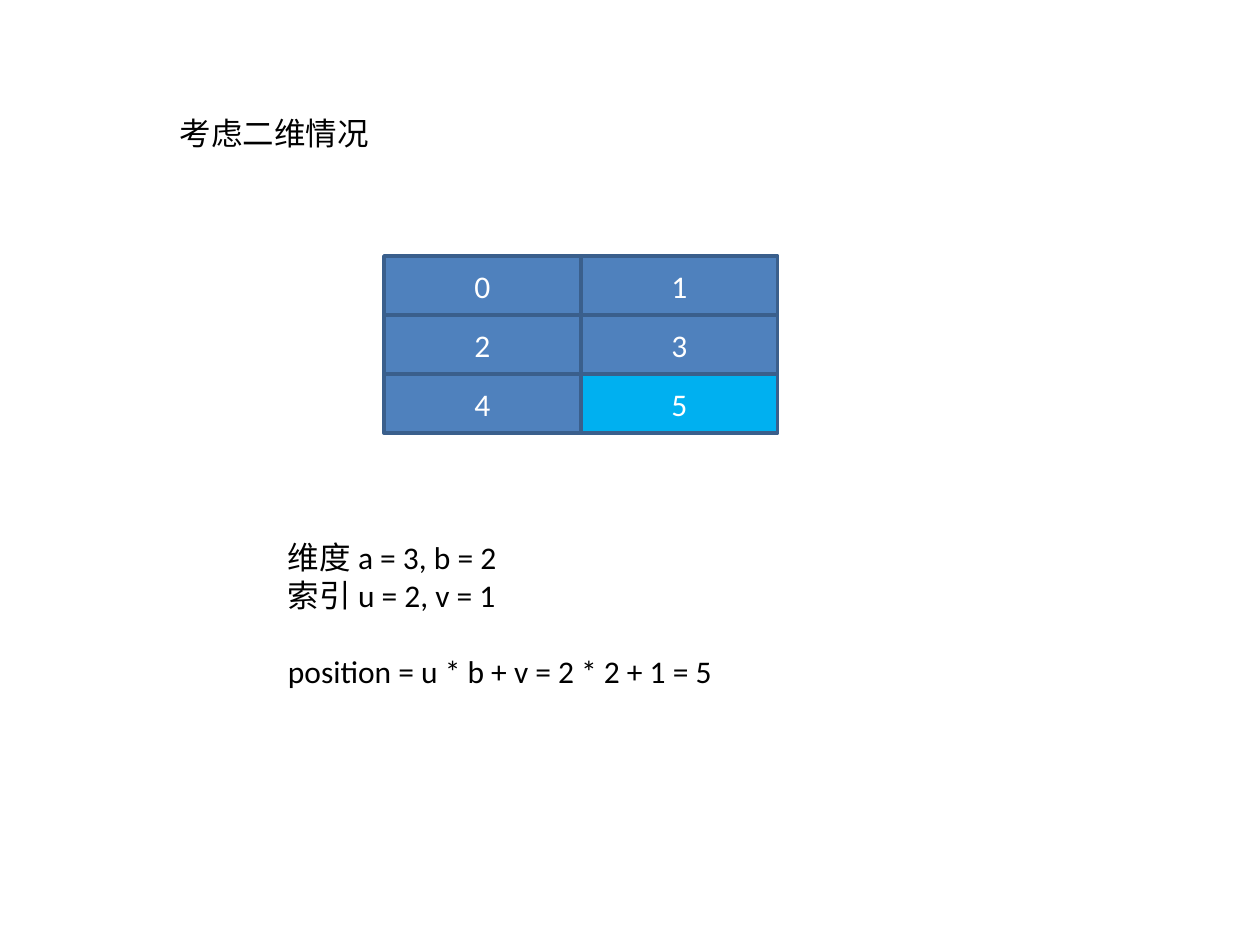
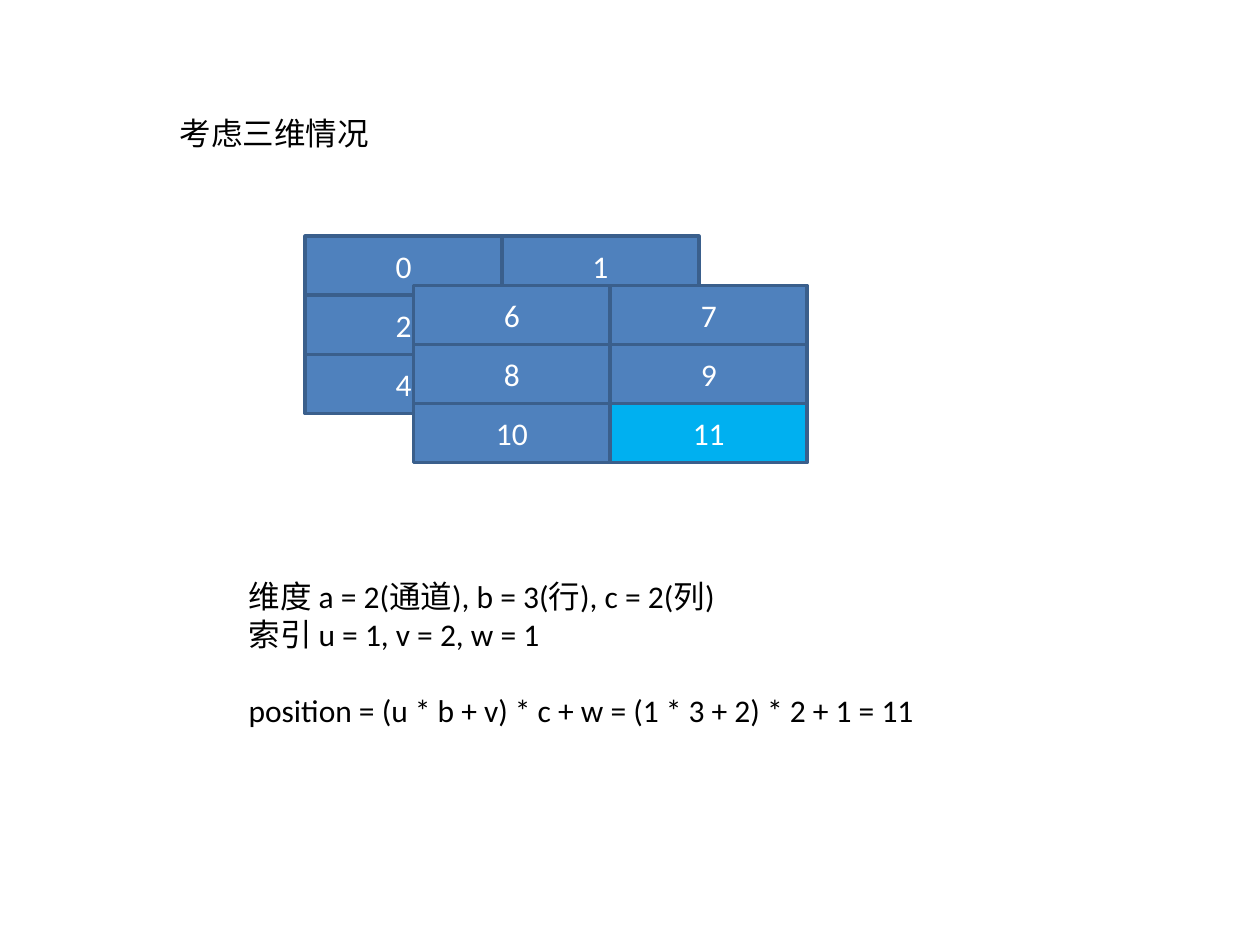
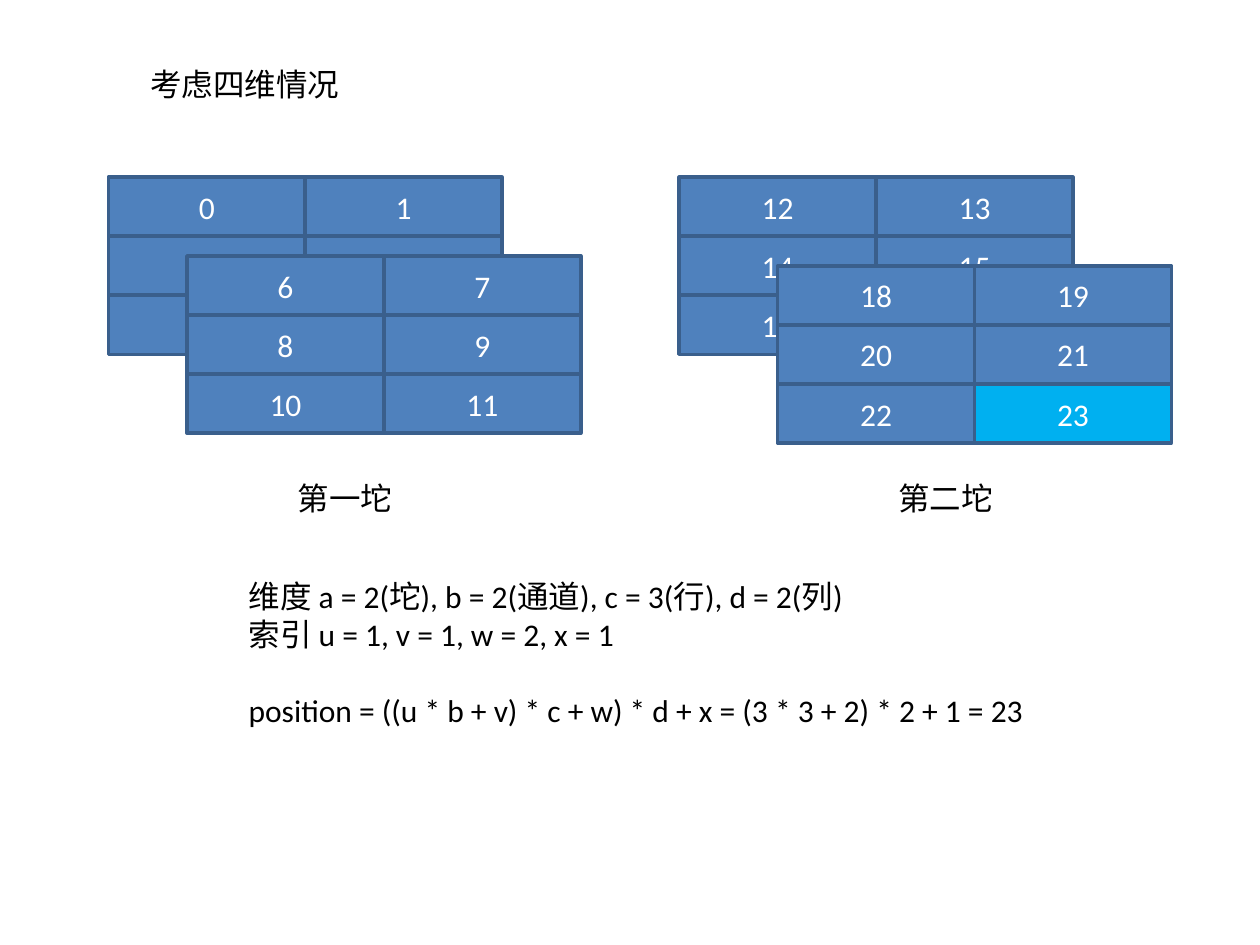
from itertools import product

from pptx import Presentation
from pptx.dml.color import RGBColor
from pptx.enum.shapes import MSO_SHAPE
from pptx.enum.text import MSO_ANCHOR, MSO_AUTO_SIZE, PP_ALIGN
from pptx.util import Inches, Pt

RECT = MSO_SHAPE.RECTANGLE
MIDDLE = MSO_ANCHOR.MIDDLE
CENTER = PP_ALIGN.CENTER
FIT = MSO_AUTO_SIZE.SHAPE_TO_FIT_TEXT


class Theme:
    cell = RGBColor.from_string("4F81BD")
    mark = RGBColor.from_string("00B0F0")
    edge = RGBColor.from_string("3A5F8C")
    ink = RGBColor.from_string("000000")
    pale = RGBColor.from_string("FFFFFF")
    font = "Calibri"
    size = Pt(18)
    line = Pt(2)
    gap = Pt(22)


deck = Presentation()
deck.slide_width, deck.slide_height = Inches(10), Inches(7.5)
UNIT = deck.slide_width // 128  # the slide is a grid of 128 by 96 units
ROWS, COLS = 3, 2
WIDE, HIGH = 20, 6  # one cell, in units
LINE = 5.1  # a one-line text box, in units


def write(slide, left, top, wide, high, lines):
    """Add a text box; an empty line becomes space before the next one."""
    box = slide.shapes.add_textbox(
        *(round(n * UNIT) for n in (left, top, wide, high)))
    frame = box.text_frame
    frame.word_wrap, frame.auto_size = False, FIT
    frame.text = "\n".join(line for line in lines if line)
    for para in frame.paragraphs:
        style(para.font, Theme.ink)
    if "" in lines:
        frame.paragraphs[lines.index("")].space_before = Theme.gap


def style(font, color):
    for name, value in {"name": Theme.font, "size": Theme.size}.items():
        setattr(font, name, value)
    font.color.rgb = color


# Places are in grid units; a stack is the left and top of one matrix.
# Cells in "bare" lie behind the next matrix and carry no number.
PAGES = [
    {
        "title": (17, 11, "考虑二维情况"),
        "stacks": [(39, 26)],
        "bare": [],
        "labels": [],
        "notes": (28, 54, 46.3, [
            "维度 a = 3, b = 2",
            "索引 u = 2, v = 1",
            "",
            "position = u * b + v = 2 * 2 + 1 = 5"]),
    },
    {
        "title": (17, 11, "考虑三维情况"),
        "stacks": [(31, 24), (42, 29)],
        "bare": [3, 5],
        "labels": [],
        "notes": (24, 58, 71.3, [
            "维度 a = 2(通道), b = 3(行), c = 2(列)",
            "索引 u = 1, v = 2, w = 1",
            "",
            "position = (u * b + v) * c + w = (1 * 3 + 2) * 2 + 1 = 11"]),
    },
    {
        "title": (14, 6, "考虑四维情况"),
        "stacks": [(11, 18), (19, 26), (69, 18), (79, 27)],
        "bare": [2, 3, 4, 5, 17],
        "labels": [(29, 48, "第一坨"), (90, 48, "第二坨")],
        "notes": (24, 58, 82.6, [
            "维度 a = 2(坨), b = 2(通道), c = 3(行), d = 2(列)",
            "索引 u = 1, v = 1, w = 2, x = 1",
            "",
            "position = ((u * b + v) * c + w) * d + x"
            " = (3 * 3 + 2) * 2 + 1 = 23"]),
    },
]

for page in PAGES:
    slide = deck.slides.add_slide(deck.slide_layouts[6])

    left, top, wide, lines = page["notes"]
    write(slide, left, top, wide, 16.8, lines)

    last = len(page["stacks"]) * ROWS * COLS - 1
    for layer, (left, top) in enumerate(page["stacks"]):
        group = slide.shapes.add_group_shape()
        for row, col in product(range(ROWS), range(COLS)):
            index = (layer * ROWS + row) * COLS + col
            cell = group.shapes.add_shape(
                RECT, (left + col * WIDE) * UNIT, (top + row * HIGH) * UNIT,
                WIDE * UNIT, HIGH * UNIT)
            cell.shadow.inherit = False
            cell.fill.solid()
            cell.fill.fore_color.rgb = (
                Theme.mark if index == last else Theme.cell)
            cell.line.color.rgb = Theme.edge
            cell.line.width = Theme.line
            if index not in page["bare"]:
                frame = cell.text_frame
                frame.text = str(index)
                frame.vertical_anchor = MIDDLE
                para = frame.paragraphs[0]
                para.alignment = CENTER
                style(para.font, Theme.pale)

    for left, top, text in page["labels"]:
        write(slide, left, top, 12.3, LINE, [text])
    left, top, text = page["title"]
    write(slide, left, top, 22, LINE, [text])

deck.save("out.pptx")
